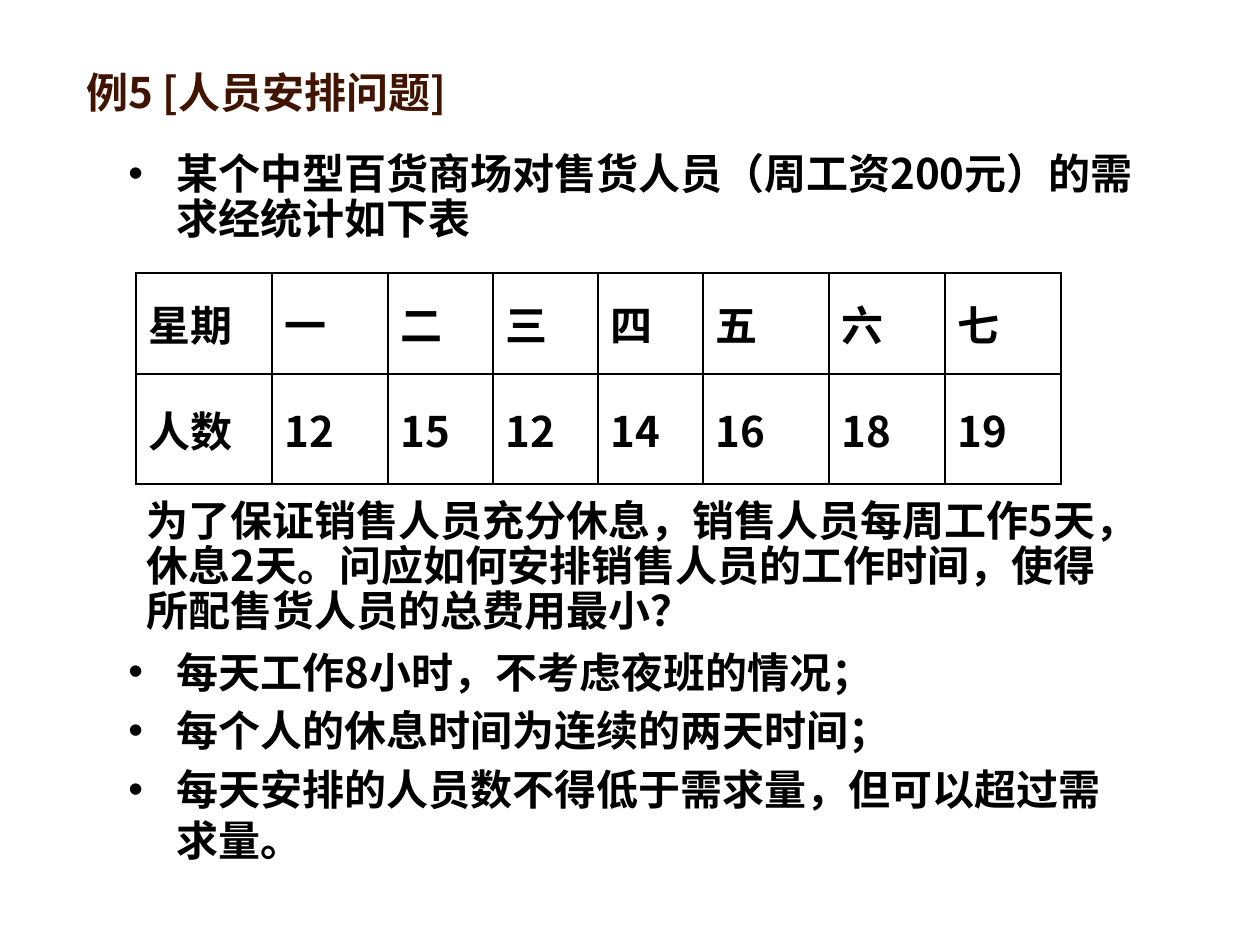
from dataclasses import dataclass

from lxml import etree
from pptx import Presentation
from pptx import util as u
from pptx.dml.color import RGBColor
from pptx.enum import lang, text
from pptx.oxml import ns

PX = 914400 / 126
FONT = "Noto Sans CJK SC"
BLACK = "000000"
TITLE_BROWN = "411401"


@dataclass
class TextBlock:
    box: tuple[int, int, int, int]
    paragraphs: list[str]
    color: str = BLACK
    anchor: text.MSO_ANCHOR = text.MSO_ANCHOR.TOP
    line_spacing: float | None = None
    bullet: bool = False
    space_before: int = 20
    fit: text.MSO_AUTO_SIZE = text.MSO_AUTO_SIZE.NONE


def px(n: int) -> u.Emu:
    return u.Emu(round(n * PX))


def rgb(value: str) -> RGBColor:
    return RGBColor.from_string(value)


def child(parent, tag: str, **attrs: str):
    return etree.SubElement(parent, ns.qn(tag), attrs)


def write(p, content: str, color: str = BLACK, space_before: int = 20,
          line_spacing: float | None = None, bullet: bool = False) -> None:
    r = p.add_run()
    r.text = content
    formats = {"size": u.Pt(24), "bold": True, "name": FONT,
               "language_id": lang.MSO_LANGUAGE_ID.SIMPLIFIED_CHINESE}
    for key, value in formats.items():
        setattr(r.font, key, value)
    r.font.color.rgb = rgb(color)
    child(r.font._element, "a:ea", typeface=FONT)
    p.line_spacing = line_spacing
    ppr = p._p.get_or_add_pPr()
    if space_before:
        child(child(ppr, "a:spcBef"), "a:spcPct", val=str(space_before * 1000))
    if bullet:
        indent = px(48)
        ppr.set("marL", str(indent))
        ppr.set("indent", str(-indent))
        child(ppr, "a:buFont", typeface="Arial")
        child(ppr, "a:buChar", char="•")


def add_text(s, block: TextBlock) -> None:
    sp = s.shapes.add_textbox(*map(px, block.box))
    tf = sp.text_frame
    formats = {"word_wrap": True, "vertical_anchor": block.anchor, "auto_size": block.fit}
    for key, value in formats.items():
        setattr(tf, key, value)
    for i, content in enumerate(block.paragraphs):
        p = tf.add_paragraph() if i else tf.paragraphs[0]
        write(p, content, block.color, block.space_before, block.line_spacing, block.bullet)


def add_borders(cell) -> None:
    tcpr = cell._tc.get_or_add_tcPr()
    for side in "LRTB":
        ln = child(tcpr, f"a:ln{side}", w=str(u.Pt(1)))
        child(child(ln, "a:solidFill"), "a:srgbClr", val=BLACK)


def add_grid(s, left: int, top: int, widths: list[int], heights: list[int],
             rows: list[list[str]]) -> None:
    frame = s.shapes.add_table(len(heights), len(widths), px(left), px(top),
                               px(sum(widths)), px(sum(heights)))
    table = frame.table
    table.first_row = table.horz_banding = False
    for column, width in zip(table.columns, widths):
        column.width = px(width)
    for row, height, values in zip(table.rows, heights, rows):
        row.height = px(height)
        for cell, value in zip(row.cells, values):
            cell.vertical_anchor = text.MSO_ANCHOR.MIDDLE
            write(cell.text_frame.paragraphs[0], value)
            add_borders(cell)
            cell.fill.background()


TITLE = TextBlock((74, 45, 1071, 94), ["例5 [人员安排问题]"], TITLE_BROWN,
                  text.MSO_ANCHOR.MIDDLE, space_before=0)
DEMAND = TextBlock((116, 147, 1071, 117),
                   ["某个中型百货商场对售货人员（周工资200元）的需求经统计如下表"],
                   line_spacing=0.9, bullet=True)
RULES = TextBlock((116, 640, 998, 262),
                  ["每天工作8小时，不考虑夜班的情况；",
                   "每个人的休息时间为连续的两天时间；",
                   "每天安排的人员数不得低于需求量，但可以超过需求量。"], bullet=True)
QUESTION = TextBlock((134, 493, 1012, 149),
                     ["为了保证销售人员充分休息，销售人员每周工作5天，休息2天。"
                      "问应如何安排销售人员的工作时间，使得所配售货人员的总费用最小？"],
                     anchor=text.MSO_ANCHOR.BOTTOM, line_spacing=0.9,
                     fit=text.MSO_AUTO_SIZE.SHAPE_TO_FIT_TEXT)
STAFF = [["星期", *"一二三四五六七"],
         ["人数", "12", "15", "12", "14", "16", "18", "19"]]


def main() -> None:
    prs = Presentation()
    prs.slide_width, prs.slide_height = px(1260), px(945)
    s = prs.slides.add_slide(prs.slide_layouts[6])
    add_text(s, TITLE)
    add_text(s, DEMAND)
    add_grid(s, 136, 273, [136, 116, 105, 105, 105, 126, 116, 116], [101, 110], STAFF)
    add_text(s, RULES)
    add_text(s, QUESTION)
    prs.save("out.pptx")


if __name__ == "__main__":
    main()
